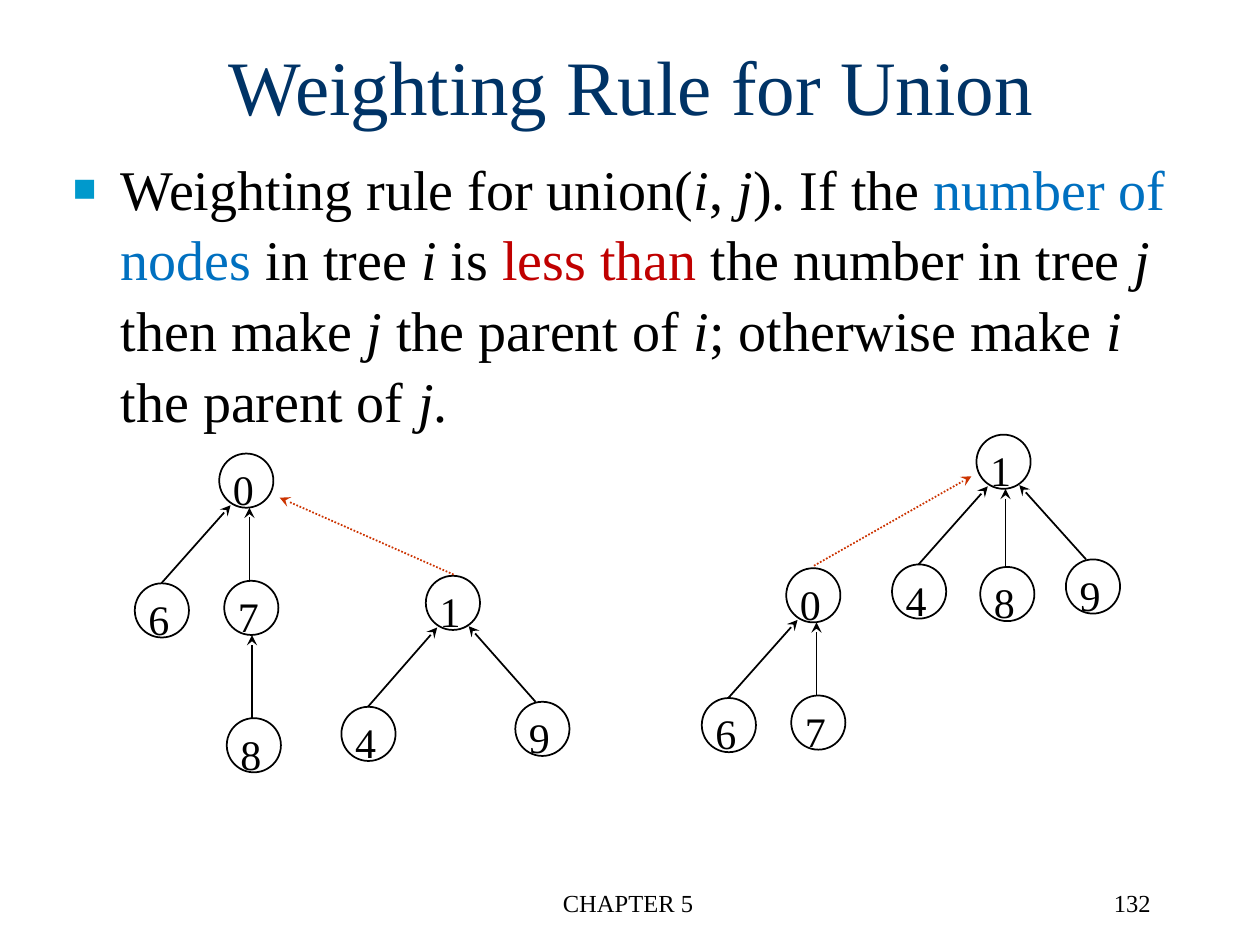
from dataclasses import dataclass

from lxml import etree
from pptx import Presentation
from pptx.dml.color import RGBColor
from pptx.enum.dml import MSO_LINE
from pptx.enum.shapes import MSO_CONNECTOR, MSO_SHAPE
from pptx.enum.text import MSO_ANCHOR, MSO_AUTO_SIZE, PP_ALIGN
from pptx.oxml.ns import qn
from pptx.util import Inches, Pt

CENTER, RIGHT = PP_ALIGN.CENTER, PP_ALIGN.RIGHT
MIDDLE = MSO_ANCHOR.MIDDLE
NO_FIT, GROW = MSO_AUTO_SIZE.NONE, MSO_AUTO_SIZE.SHAPE_TO_FIT_TEXT
OVAL, STRAIGHT = MSO_SHAPE.OVAL, MSO_CONNECTOR.STRAIGHT
DOTTED = MSO_LINE.ROUND_DOT


@dataclass(frozen=True)
class Theme:
    font: str = "Times New Roman"
    title: str = "003366"
    text: str = "000000"
    bullet: str = "0099CC"
    blue: str = "0070C0"
    red: str = "C00000"
    union: str = "CC3300"
    title_size: int = 44
    body_size: int = 32
    node_size: int = 24
    footer_size: int = 14


theme = Theme()


def write(paragraph, text, size, color=theme.text, italic=False, align=None):
    run = paragraph.add_run()
    run.text = text
    run.font.name = theme.font
    run.font.size = Pt(size)
    run.font.italic = italic
    run.font.color.rgb = RGBColor.from_string(color)
    if align is not None:
        paragraph.alignment = align


prs = Presentation()
prs.slide_width, prs.slide_height = Inches(10), Inches(7.5)
slide = prs.slides.add_slide(prs.slide_layouts[5])
shapes = slide.shapes

# Title
title = shapes.title
title.left, title.top = Inches(0), Inches(0.05)
title.width, title.height = Inches(10.02), Inches(1.25)
title.text_frame.auto_size = NO_FIT
title.text_frame.vertical_anchor = MIDDLE
write(title.text_frame.paragraphs[0], "Weighting Rule for Union",
      size=theme.title_size, color=theme.title, align=CENTER)

# Footer and page number
for text, left, width, align in [("CHAPTER 5", 3.4, 3.17, CENTER),
                                 ("132", 7.15, 2.08, RIGHT)]:
    footer = shapes.add_textbox(Inches(left), Inches(7), Inches(width), Inches(0.5))
    footer.text_frame.word_wrap = True
    write(footer.text_frame.paragraphs[0], text, size=theme.footer_size, align=align)

# Rule statement with a square bullet
statement = shapes.add_textbox(Inches(0.48), Inches(1.15), Inches(8.99), Inches(4.5))
statement.text_frame.word_wrap = True
rule = statement.text_frame.paragraphs[0]
rule.line_spacing = 1.05
props = rule._p.get_or_add_pPr()
props.set("marL", str(Inches(0.38)))
props.set("indent", str(-Inches(0.38)))
bullet_color = etree.SubElement(props, qn("a:buClr"))
etree.SubElement(bullet_color, qn("a:srgbClr"), val=theme.bullet)
etree.SubElement(props, qn("a:buSzPct"), val="70000")
etree.SubElement(props, qn("a:buFont"), typeface=theme.font)
etree.SubElement(props, qn("a:buChar"), char="■")

variable, blue, red = {"italic": True}, {"color": theme.blue}, {"color": theme.red}
for text, style in [
    ("Weighting rule for union(", {}), ("i", variable), (", ", {}), ("j", variable),
    ("). If the ", {}), ("number of nodes", blue), (" in tree ", {}), ("i", variable),
    (" is ", {}), ("less than", red), (" the number in tree ", {}), ("j", variable),
    (" then make ", {}), ("j", variable), (" the parent of ", {}), ("i", variable),
    ("; otherwise make ", {}), ("i", variable), (" the parent of ", {}),
    ("j", variable), (".", {}),
]:
    write(rule, text, size=theme.body_size, **style)

# Each tree: top-left corner of every node, then (child, parent, kind of link)
trees = [
    ({"0": (1.74, 3.6), "6": (1.07, 4.63), "7": (1.78, 4.61), "8": (1.8, 5.7),
      "1": (3.38, 4.57), "4": (2.71, 5.61), "9": (4.09, 5.57)},
     [("6", "0", "left"), ("7", "0", "below"), ("8", "7", "below"),
      ("4", "1", "left"), ("9", "1", "right"), ("1", "0", "union right")]),
    ({"1": (7.75, 3.45), "4": (7.08, 4.48), "8": (7.78, 4.5), "9": (8.46, 4.44),
      "0": (6.24, 4.51), "6": (5.57, 5.54), "7": (6.28, 5.52)},
     [("4", "1", "left"), ("8", "1", "below"), ("9", "1", "right"),
      ("6", "0", "left"), ("7", "0", "below"), ("0", "1", "union left")]),
]
# Where a link leaves the child and reaches the parent, from their corners
link_ends = {
    "left": ((0.21, 0), (0.09, 0.41)),
    "below": ((0.2, 0), (0.23, 0.43)),
    "right": ((0.16, 0), (0.34, 0.4)),
    "union left": ((0.22, -0.02), (-0.04, 0.33)),
    "union right": ((0.22, -0.01), (0.48, 0.35)),
}

for nodes, links in trees:
    # Nodes
    for label, (x, y) in nodes.items():
        circle = shapes.add_shape(OVAL, Inches(x), Inches(y), Inches(0.43), Inches(0.43))
        circle.shadow.inherit = False
        circle.fill.background()
        circle.line.color.rgb = RGBColor.from_string(theme.text)
        circle.line.width = Pt(1)
        number = shapes.add_textbox(Inches(x + 0.01), Inches(y + 0.03),
                                    Inches(0.37), Inches(0.5))
        number.text_frame.word_wrap = False
        number.text_frame.auto_size = GROW
        write(number.text_frame.paragraphs[0], label, size=theme.node_size)

    # Arrows from child to parent
    for child, parent, kind in links:
        leave, reach = link_ends[kind]
        x1, y1 = (a + b for a, b in zip(nodes[child], leave))
        x2, y2 = (a + b for a, b in zip(nodes[parent], reach))
        if kind == "below":
            x2 = x1
        link = shapes.add_connector(STRAIGHT, Inches(x1), Inches(y1),
                                    Inches(x2), Inches(y2))
        is_union = kind.startswith("union")
        link.line.color.rgb = RGBColor.from_string(theme.union if is_union else theme.text)
        link.line.width = Pt(1)
        if is_union:
            link.line.dash_style = DOTTED
        etree.SubElement(link.line._get_or_add_ln(), qn("a:tailEnd"), type="stealth")
        etree.SubElement(link._element.spPr, qn("a:effectLst"))

prs.save("out.pptx")
